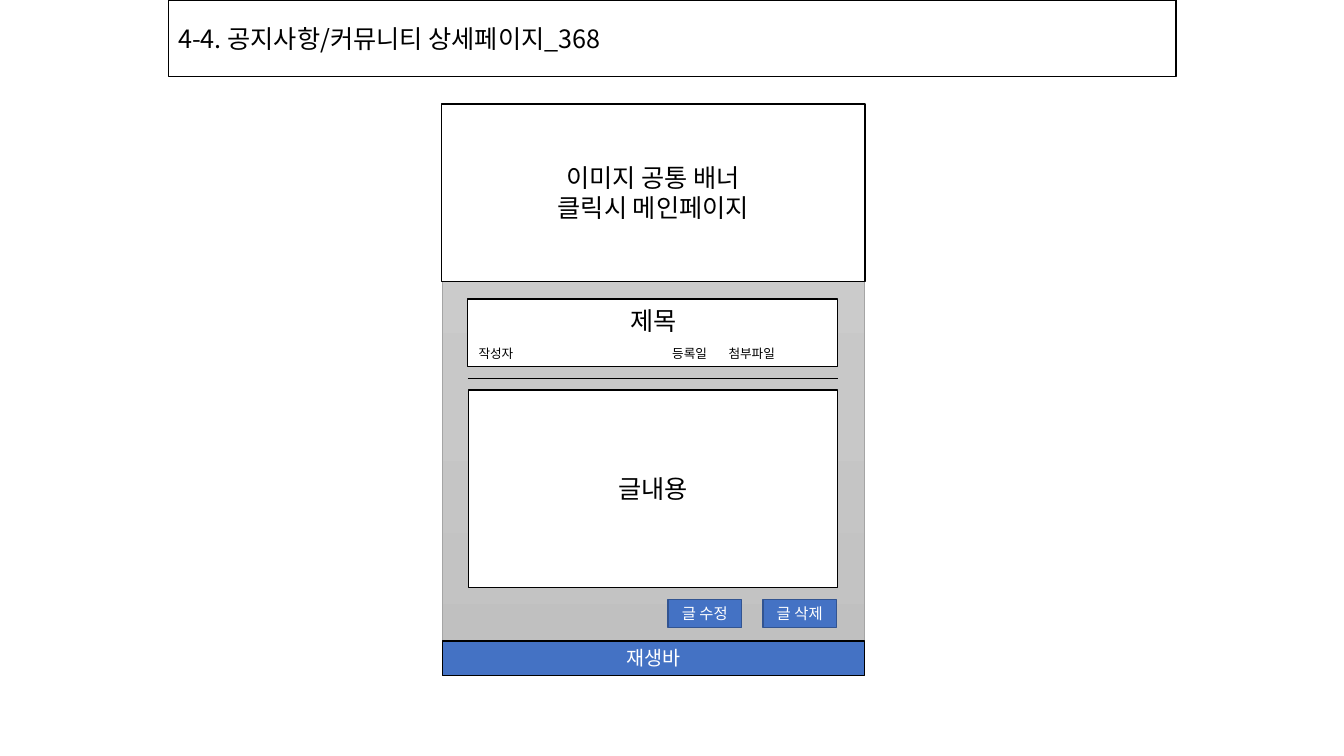
from copy import deepcopy

from lxml.etree import SubElement
from pptx import Presentation
from pptx.dml.color import RGBColor
from pptx.enum.shapes import MSO_CONNECTOR, MSO_SHAPE
from pptx.enum.text import MSO_ANCHOR, MSO_AUTO_SIZE, PP_ALIGN
from pptx.oxml.ns import qn
from pptx.util import Cm, Pt

BLACK = RGBColor(0x00, 0x00, 0x00)
WHITE = RGBColor(0xFF, 0xFF, 0xFF)
BLUE = RGBColor(0x44, 0x72, 0xC4)
DARK_BLUE = RGBColor(0x32, 0x54, 0x91)
GREY = RGBColor(0xA5, 0xA5, 0xA5)
PANEL_SHADES = [RGBColor(0xD2, 0xD2, 0xD2), RGBColor(0xC8, 0xC8, 0xC8),
                RGBColor(0xC0, 0xC0, 0xC0)]
FONT = "Noto Sans CJK KR"


def write(box, text, size=18, color=BLACK, align=PP_ALIGN.CENTER,
          anchor=MSO_ANCHOR.MIDDLE, tabs=()):
    """Fill a box with one paragraph per line; tabs are positions in cm."""
    frame = box.text_frame
    frame.auto_size = MSO_AUTO_SIZE.NONE
    frame.word_wrap = True
    frame.vertical_anchor = anchor
    frame.margin_left = frame.margin_right = Cm(0.25)
    frame.margin_top = frame.margin_bottom = Cm(0.13)
    frame.text = text
    for para in frame.paragraphs:
        para.alignment = align
        if tabs:
            tab_list = SubElement(para._p.get_or_add_pPr(), qn("a:tabLst"))
            for position in tabs:
                SubElement(tab_list, qn("a:tab"), pos=str(Cm(position)), algn="l")
        for span in para.runs:
            span.font.size = Pt(size)
            span.font.name = FONT
            span.font.color.rgb = color
            SubElement(span._r.get_or_add_rPr(), qn("a:ea"), typeface=FONT)


class Wireframe:
    """Holds the line style and the current page."""

    def __init__(self, page, line_color=BLACK, line_width=1):
        """Keep the page and its default outline."""
        self.page = page
        self.line_color = line_color
        self.line_width = line_width

    def outline(self, item, color=None, width=None):
        """Draw the line of a shape or connector."""
        item.line.color.rgb = color or self.line_color
        item.line.width = Pt(width or self.line_width)

    def title(self, text, left, top, width, height):
        """Move, outline and fill the title placeholder."""
        box = self.page.shapes.title
        box.left, box.top, box.width, box.height = map(Cm, (left, top, width, height))
        self.outline(box)
        write(box, text, align=PP_ALIGN.LEFT)

    def block(self, left, top, width, height, text="", fill=WHITE, line=None,
              line_width=None, **text_format):
        """Add an outlined rectangle, with centred text if given."""
        box = self.page.shapes.add_shape(
            MSO_SHAPE.RECTANGLE, *map(Cm, (left, top, width, height)))
        box.shadow.inherit = False
        box.fill.solid()
        box.fill.fore_color.rgb = fill
        self.outline(box, line, line_width)
        if text:
            write(box, text, **text_format)
        return box

    def panel(self, left, top, width, height, shades):
        """Add a rectangle shaded evenly from top to bottom."""
        box = self.block(left, top, width, height, line=GREY, line_width=0.5)
        box.fill.gradient()
        box.fill.gradient_angle = 270
        stop_list = box._element.spPr.find(".//" + qn("a:gsLst"))
        while len(stop_list) < len(shades):
            stop_list.append(deepcopy(stop_list[0]))
        for index, (stop, shade) in enumerate(zip(box.fill.gradient_stops, shades)):
            stop.color.rgb = shade
            stop.position = index / (len(shades) - 1)

    def label(self, text, left, top, width, height, **text_format):
        """Add a plain text box."""
        box = self.page.shapes.add_textbox(*map(Cm, (left, top, width, height)))
        write(box, text, anchor=MSO_ANCHOR.TOP, **text_format)

    def rule(self, left, right, top):
        """Add a thin horizontal line."""
        line = self.page.shapes.add_connector(
            MSO_CONNECTOR.STRAIGHT, *map(Cm, (left, top, right, top)))
        self.outline(line, width=0.5)
        SubElement(line._element.spPr, qn("a:effectLst"))


def build():
    """Build the post detail page wireframe."""
    deck = Presentation()
    deck.slide_width, deck.slide_height = Cm(33.87), Cm(19.05)
    page = deck.slides.add_slide(deck.slide_layouts[5])
    frame = Wireframe(page)

    frame.title("4-4. 공지사항/커뮤니티 상세페이지_368", 4.24, 0, 25.4, 1.93)
    frame.panel(11.15, 2.64, 10.64, 14.38, PANEL_SHADES)
    frame.block(11.13, 2.62, 10.67, 4.47, "이미지 공통 배너\n클릭시 메인페이지")
    frame.block(11.15, 16.15, 10.64, 0.87, "재생바", fill=BLUE, size=14, color=WHITE)

    frame.block(11.79, 7.54, 9.32, 1.7)
    frame.label("작성자\t등록일\t첨부파일", 11.81, 8.59, 9.32, 0.64,
                size=9, align=PP_ALIGN.LEFT, tabs=(4.88, 6.3))
    frame.label("제목", 13.79, 7.57, 5.36, 1.02)
    frame.rule(11.79, 21.11, 9.53)
    frame.block(11.81, 9.83, 9.3, 4.98, "글내용")

    for index, caption in enumerate(("글 수정", "글 삭제")):
        frame.block(16.84 + 2.39 * index, 15.11, 1.85, 0.71, caption,
                    fill=BLUE, line=DARK_BLUE, size=11, color=WHITE)
    deck.save("out.pptx")


build()
